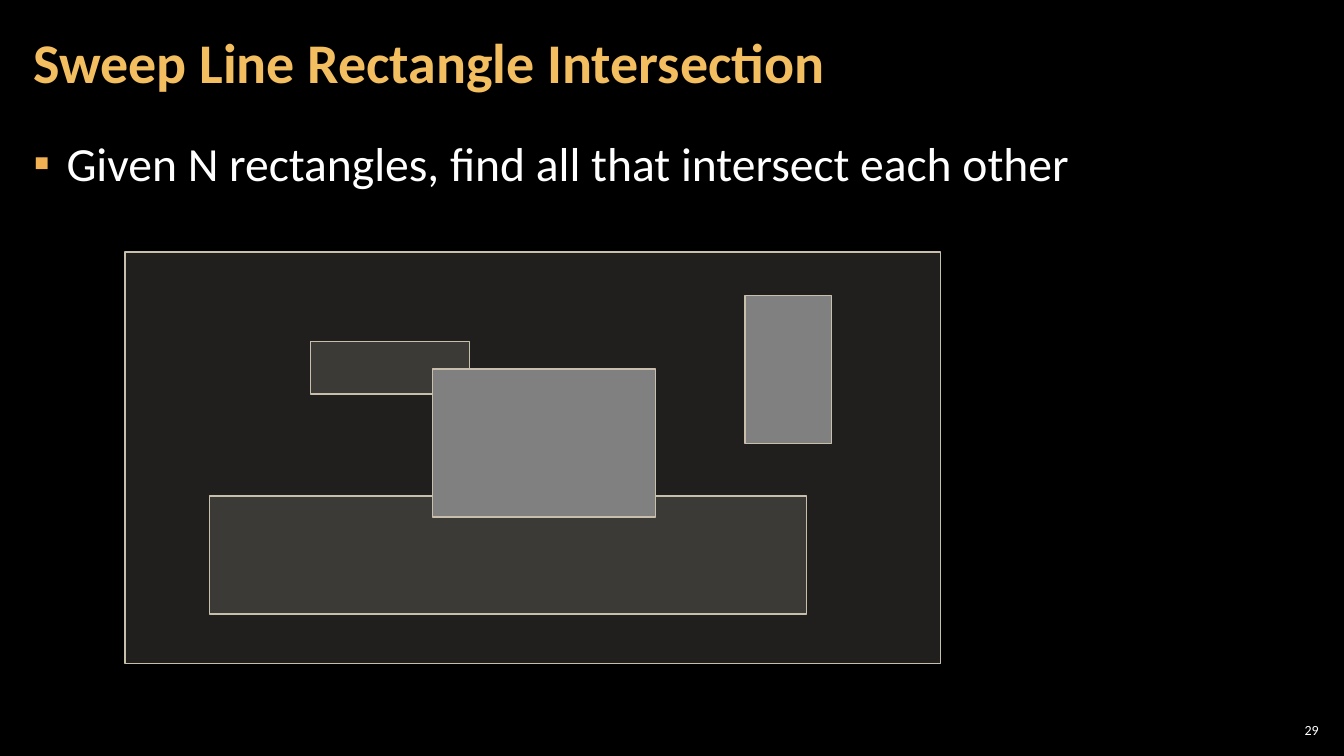
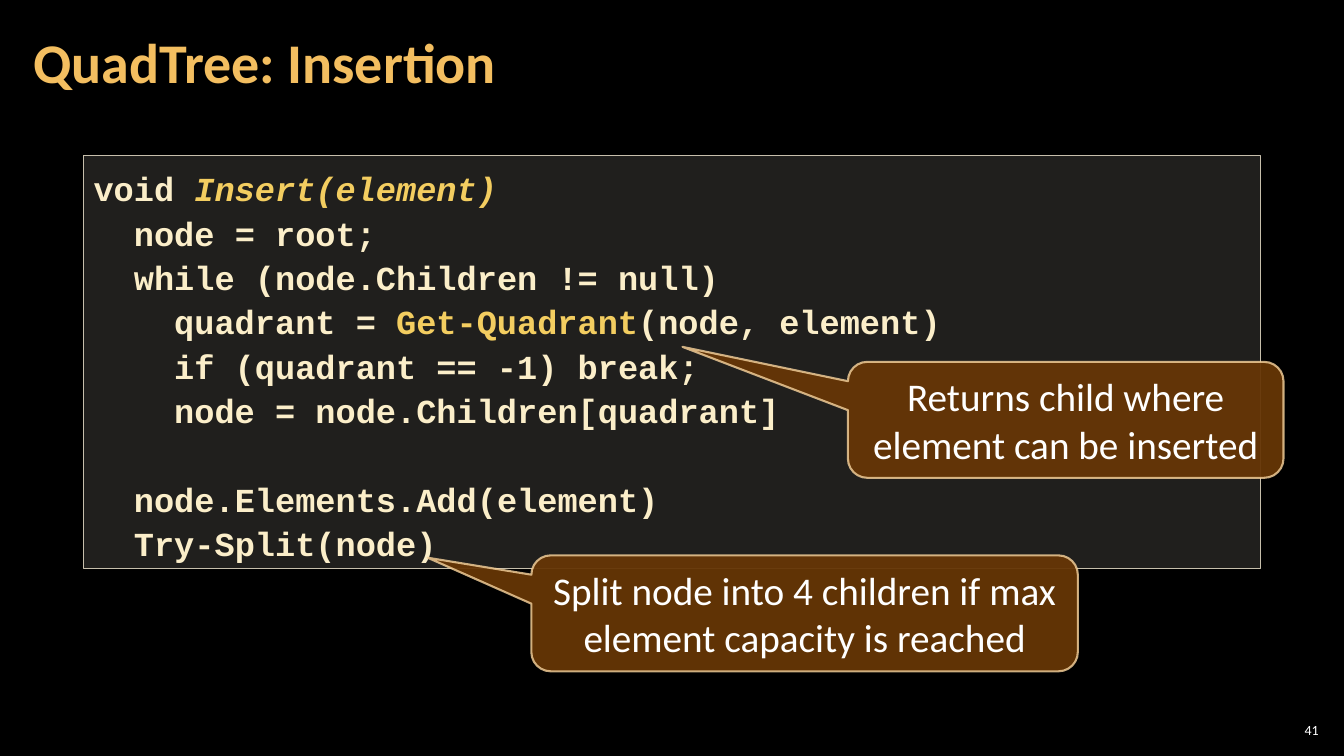
from lxml.etree import SubElement
from pptx import Presentation
from pptx.dml.color import RGBColor
from pptx.enum.shapes import MSO_SHAPE
from pptx.enum.text import MSO_ANCHOR, MSO_AUTO_SIZE, PP_ALIGN
from pptx.oxml.ns import qn
from pptx.util import Emu, Pt

EMU_PER_PX = 9144  # 100 px to the inch
TITLE_AND_CONTENT, TITLE_ONLY = 1, 5


def px(length):
    return Emu(length * EMU_PER_PX)


def color(hex_code):
    return RGBColor.from_string(hex_code)


def set_opacity(fill_parent, percent):
    """Set the opacity of the solid fill held by a spPr or ln element."""
    fill_color = fill_parent.find(qn("a:solidFill"))[0]
    SubElement(fill_color, qn("a:alpha")).set("val", str(percent * 1000))


class Deck:
    BACKGROUND = "000000"
    WHITE = "FFFFFF"
    GOLD = "F3BE60"
    BULLET = "F2B254"
    PANEL, PANEL_LINE = "D9D5C7", "C7BFAC"
    SOLID_GRAY = "808080"
    CODE, CODE_NAME = "FBEEC9", "F3CD60"
    CALLOUT, CALLOUT_LINE = "663606", "F8D49E"
    BODY_FONT, CODE_FONT = "Calibri", "Courier New"
    CODE_PITCH = Pt(31.7)
    CODE_INDENT = 40

    def __init__(self):
        self.presentation = Presentation()
        self.presentation.slide_width = px(1333)
        self.presentation.slide_height = px(750)
        background = self.presentation.slide_master.background.fill
        background.solid()
        background.fore_color.rgb = color(self.BACKGROUND)
        self.slide = None

    def add_slide(self, layout, title, number):
        layouts = self.presentation.slide_layouts
        self.slide = self.presentation.slides.add_slide(layouts[layout])
        self.title(title)
        self.page_number(number)

    def style(self, run, size, hex_code, font=BODY_FONT, bold=False, italic=False):
        run.font.size = Pt(size)
        run.font.name = font
        run.font.bold = bold
        run.font.italic = italic
        run.font.color.rgb = color(hex_code)

    def place(self, shape, box, margins, anchor):
        """Position a text holder and set its margins, as (side, top)."""
        shape.left, shape.top, shape.width, shape.height = map(px, box)
        frame = shape.text_frame
        frame.word_wrap = True
        frame.auto_size = MSO_AUTO_SIZE.NONE
        frame.vertical_anchor = anchor
        frame.margin_left = frame.margin_right = px(margins[0])
        frame.margin_top = frame.margin_bottom = px(margins[1])
        return frame

    def fill_text(self, frame, text, size, hex_code, align, bold=False):
        frame.text = text
        paragraph = frame.paragraphs[0]
        paragraph.alignment = align
        self.style(paragraph.runs[0], size, hex_code, bold=bold)
        return paragraph

    def title(self, text):
        frame = self.place(self.slide.shapes.title, (21, 4, 1047, 121),
                           (12, 4), MSO_ANCHOR.MIDDLE)
        paragraph = self.fill_text(frame, text, 40, self.GOLD, PP_ALIGN.LEFT, bold=True)
        paragraph.line_spacing = 0.9

    def page_number(self, number):
        box = (1265, 714, 47, 21)
        holder = self.slide.shapes.add_textbox(*map(px, box))
        frame = self.place(holder, box, (4, 4), MSO_ANCHOR.MIDDLE)
        self.fill_text(frame, str(number), 10, self.WHITE, PP_ALIGN.RIGHT)

    def bullet(self, text):
        frame = self.place(self.slide.placeholders[1], (21, 126, 1291, 609),
                           (12, 4), MSO_ANCHOR.TOP)
        paragraph = self.fill_text(frame, text, 34, self.WHITE, PP_ALIGN.LEFT)
        paragraph.line_spacing = 1.05
        paragraph.space_before = paragraph.space_after = Pt(6)
        properties = paragraph._p.get_or_add_pPr()
        properties.set("marL", str(px(33)))
        properties.set("indent", str(px(-33)))
        bullet_color = SubElement(properties, qn("a:buClr"))
        SubElement(bullet_color, qn("a:srgbClr")).set("val", self.BULLET)
        SubElement(properties, qn("a:buChar")).set("char", "▪")

    def shape(self, shapes, kind, box, fill, line, line_width=1, opacity=100):
        shape = shapes.add_shape(kind, *map(px, box))
        shape.shadow.inherit = False
        shape.fill.solid()
        shape.fill.fore_color.rgb = color(fill)
        shape.line.color.rgb = color(line)
        shape.line.width = Pt(line_width)
        if opacity < 100:
            set_opacity(shape._element.spPr, opacity)
        return shape

    def panel(self, shapes, box):
        return self.shape(shapes, MSO_SHAPE.RECTANGLE, box,
                          self.PANEL, self.PANEL_LINE, opacity=15)

    def rectangle_scene(self, clear_boxes, solid_boxes):
        scene = self.slide.shapes.add_group_shape().shapes
        for box in clear_boxes:
            self.panel(scene, box)
        for box in solid_boxes:
            self.shape(scene, MSO_SHAPE.RECTANGLE, box,
                       self.SOLID_GRAY, self.PANEL_LINE)

    def code(self, box, lines):
        """Draw code lines given as (level, gap lines before, segments)."""
        frame = self.place(self.panel(self.slide.shapes, box), box,
                           (10, 5), MSO_ANCHOR.BOTTOM)
        for index, (level, gap, segments) in enumerate(lines):
            paragraph = frame.add_paragraph() if index else frame.paragraphs[0]
            paragraph.alignment = PP_ALIGN.LEFT
            paragraph.line_spacing = self.CODE_PITCH
            paragraph.space_before = Emu(gap * self.CODE_PITCH)
            indent = px(level * self.CODE_INDENT)
            paragraph._p.get_or_add_pPr().set("marL", str(indent))
            for text, hex_code, italic in segments:
                run = paragraph.add_run()
                run.text = text
                self.style(run, 24, hex_code, self.CODE_FONT, True, italic)

    def callout(self, box, pointer, text):
        callout = self.shape(self.slide.shapes, MSO_SHAPE.ROUNDED_RECTANGULAR_CALLOUT,
                             box, self.CALLOUT, self.CALLOUT_LINE, 1.5, 95)
        set_opacity(callout._element.spPr.find(qn("a:ln")), 80)
        callout.adjustments[0], callout.adjustments[1] = pointer
        frame = self.place(callout, box, (10, 5), MSO_ANCHOR.MIDDLE)
        self.fill_text(frame, text, 28, self.WHITE, PP_ALIGN.CENTER)


def plain(text):
    return text, Deck.CODE, False


def name(text, italic=False):
    return text, Deck.CODE_NAME, italic


def main():
    deck = Deck()

    deck.add_slide(TITLE_AND_CONTENT, "Sweep Line Rectangle Intersection", 29)
    deck.bullet("Given N rectangles, find all that intersect each other")
    deck.rectangle_scene(
        clear_boxes=[(124, 250, 809, 408), (208, 492, 592, 117), (308, 339, 158, 52)],
        solid_boxes=[(429, 366, 221, 147), (739, 293, 86, 147)],
    )

    deck.add_slide(TITLE_ONLY, "QuadTree: Insertion", 41)
    deck.code((83, 154, 1167, 410), [
        (0, 0, [plain("void "), name("Insert(element)", italic=True)]),
        (1, 0, [plain("node = root;")]),
        (1, 0, [plain("while (node.Children != null)")]),
        (2, 0, [plain("quadrant = "), name("Get-Quadrant"), plain("(node, element)")]),
        (2, 0, [plain("if (quadrant == -1) break;")]),
        (2, 0, [plain("node = node.Children[quadrant]")]),
        (1, 1, [plain("node.Elements.Add(element)")]),
        (1, 0, [plain("Try-Split(node)")]),
    ])
    deck.callout((841, 359, 432, 115), (-0.88, -0.63),
                 "Returns child where element can be inserted")
    deck.callout((527, 551, 542, 115), (-0.69, -0.48),
                 "Split node into 4 children if max element capacity is reached")

    deck.presentation.save("out.pptx")


if __name__ == "__main__":
    main()
